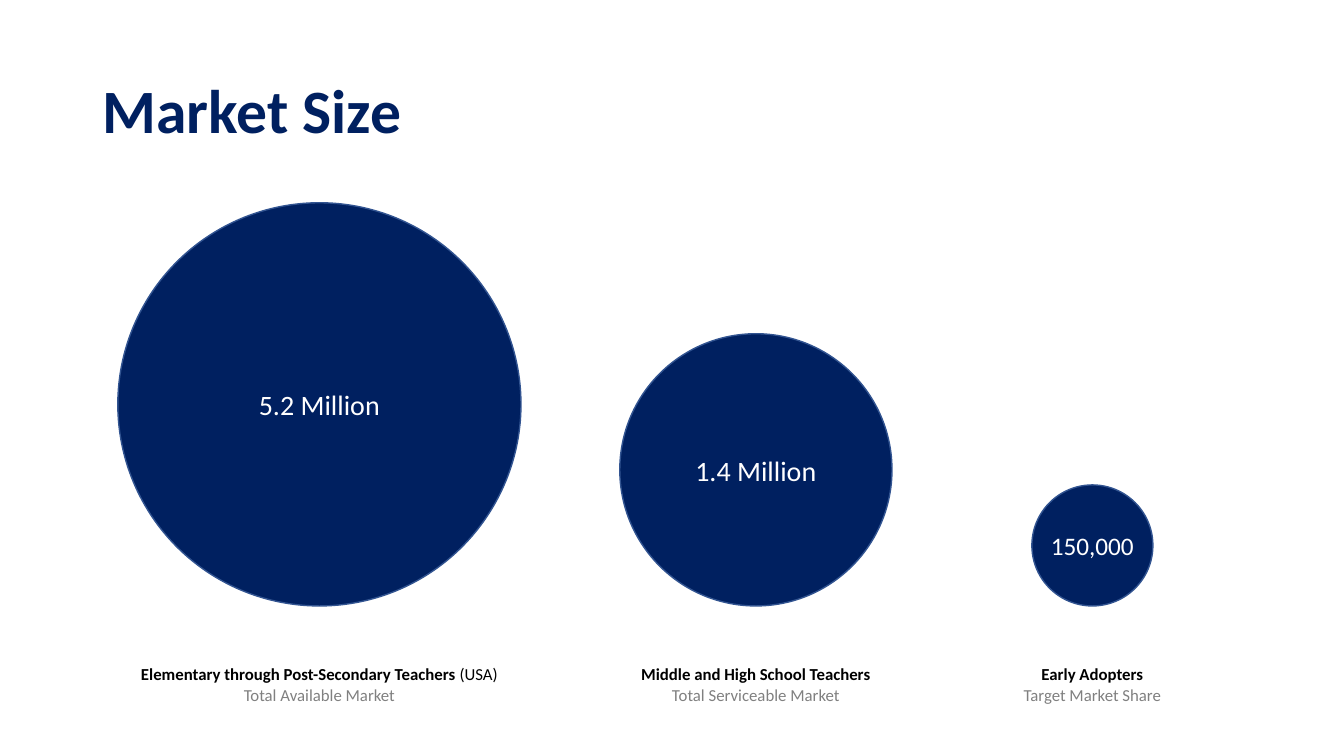
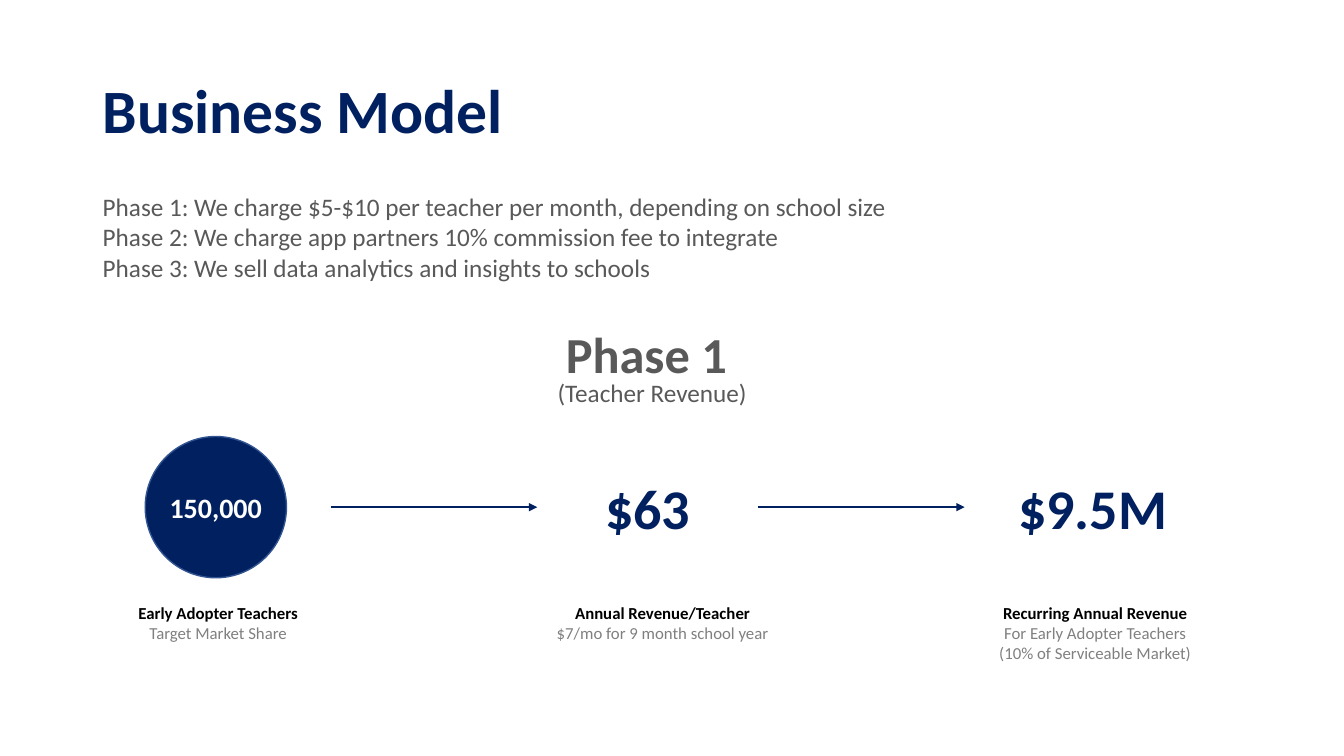
from lxml.etree import SubElement
from pptx import Presentation
from pptx.dml.color import RGBColor
from pptx.enum.shapes import MSO_CONNECTOR, MSO_SHAPE
from pptx.enum.text import MSO_ANCHOR as Anchor, PP_ALIGN as Align
from pptx.oxml.ns import qn
from pptx.util import Cm, Pt

FONT = "Calibri"
NAVY, EDGE, WHITE, BLACK = "002060", "325491", "FFFFFF", "000000"
GREY, DARK_GREY = "808080", "595959"

# Text formats: size, colour, bold
TITLE = (44, NAVY, True)
FIGURE = (40, NAVY, True)
BODY = (18, DARK_GREY, False)
HEADING = (36, DARK_GREY, True)
LABEL = (12, BLACK, True)
LABEL_PLAIN = (12, BLACK, False)
SUBLABEL = (12, GREY, False)

# Centre, diameter, value, value size, caption width, label runs, sublabel
MARKETS = [
    (8.05, 10.16, "5.2 Million", 20, 9.65,
     [("Elementary through Post-Secondary Teachers ", LABEL), ("(USA)", LABEL_PLAIN)],
     "Total Available Market"),
    (19.05, 6.86, "1.4 Million", 20, 6.45,
     [("Middle and High School Teachers", LABEL)], "Total Serviceable Market"),
    (27.53, 3.05, "150,000", 18, 5.31,
     [("Early Adopters", LABEL)], "Target Market Share"),
]
MARKET_BASELINE, MARKET_CAPTION_TOP = 15.27, 16.61

PHASES = [
    "Phase 1: We charge $5-$10 per teacher per month, depending on school size",
    "Phase 2: We charge app partners 10% commission fee to integrate",
    "Phase 3: We sell data analytics and insights to schools",
]
PHASE_HEADING = [[("Phase 1 ", HEADING)], [("(Teacher Revenue)", BODY)]]

ADOPTERS = {"center": 5.44, "diameter": 3.56, "value": "150,000"}
# Centre, width, value
FIGURES = [(16.32, 3.33, "$63"), (27.54, 4.34, "$9.5M")]
# Centre, width, label, sublabel
REVENUE_CAPTIONS = [
    (5.5, 5.31, "Early Adopter Teachers", "Target Market Share"),
    (16.7, 5.87, "Annual Revenue/Teacher", "$7/mo for 9 month school year"),
    (27.6, 5.64, "Recurring Annual Revenue",
     "For Early Adopter Teachers (10% of Serviceable Market)"),
]
REVENUE_MIDDLE, REVENUE_CAPTION_TOP = 12.78, 15.06
ARROW_STARTS, ARROW_LENGTH = (8.33, 19.1), 5.21


def color(hex_string):
    return RGBColor.from_string(hex_string)


def write(frame, paragraphs, align=Align.CENTER, anchor=Anchor.TOP, line_spacing=1.0):
    """Fill a text frame; each paragraph is a list of (text, format) runs."""
    frame.word_wrap = True
    frame.vertical_anchor = anchor
    for index, runs in enumerate(paragraphs):
        paragraph = frame.add_paragraph() if index else frame.paragraphs[0]
        paragraph.alignment = align
        paragraph.line_spacing = line_spacing
        for text, (size, hex_string, bold) in runs:
            run = paragraph.add_run()
            run.text = text
            for name, value in {"name": FONT, "size": Pt(size), "bold": bold}.items():
                setattr(run.font, name, value)
            run.font.color.rgb = color(hex_string)


def add_text(slide, box, paragraphs, **layout):
    shape = slide.shapes.add_textbox(*map(Cm, box))
    write(shape.text_frame, paragraphs, **layout)


def add_caption(slide, center, top, width, label_runs, sublabel):
    add_text(slide, (center - width / 2, top, width, 1.28),
             [label_runs, [(sublabel, SUBLABEL)]])


def add_circle(slide, center, middle, diameter, value, size, bold=False):
    box = (center - diameter / 2, middle - diameter / 2, diameter, diameter)
    circle = slide.shapes.add_shape(MSO_SHAPE.OVAL, *map(Cm, box))
    circle.shadow.inherit = False
    circle.fill.solid()
    circle.fill.fore_color.rgb = color(NAVY)
    circle.line.color.rgb = color(EDGE)
    circle.line.width = Pt(1)
    for side in ("left", "top", "right", "bottom"):
        setattr(circle.text_frame, f"margin_{side}", 0)
    write(circle.text_frame, [[(value, (size, WHITE, bold))]], anchor=Anchor.MIDDLE)


def add_arrow(slide, start, middle):
    arrow = slide.shapes.add_connector(
        MSO_CONNECTOR.STRAIGHT, *map(Cm, (start, middle, start + ARROW_LENGTH, middle)))
    arrow.line.color.rgb = color(NAVY)
    arrow.line.width = Pt(1.5)
    SubElement(arrow.line._get_or_add_ln(), qn("a:tailEnd"), type="triangle")
    SubElement(arrow._element.spPr, qn("a:effectLst"))


def add_slide(presentation, title):
    slide = presentation.slides.add_slide(presentation.slide_layouts[6])
    add_text(slide, (2.34, 1.02, 29.21, 3.68), [[(title, TITLE)]],
             align=Align.LEFT, anchor=Anchor.MIDDLE, line_spacing=0.9)
    return slide


def build_market_size(presentation):
    slide = add_slide(presentation, "Market Size")
    for center, diameter, value, size, width, label_runs, sublabel in MARKETS:
        add_circle(slide, center, MARKET_BASELINE - diameter / 2, diameter, value, size)
        add_caption(slide, center, MARKET_CAPTION_TOP, width, label_runs, sublabel)


def build_business_model(presentation):
    slide = add_slide(presentation, "Business Model")
    add_text(slide, (2.34, 4.7, 20.96, 2.57), [[(phase, BODY)] for phase in PHASES],
             align=Align.LEFT)
    add_text(slide, (13.77, 8.31, 5.33, 2.11), PHASE_HEADING, line_spacing=0.8)
    add_circle(slide, middle=REVENUE_MIDDLE, size=20, bold=True, **ADOPTERS)
    for center, width, value in FIGURES:
        add_text(slide, (center - width / 2, REVENUE_MIDDLE - 0.98, width, 1.96),
                 [[(value, FIGURE)]], anchor=Anchor.MIDDLE)
    for center, width, label, sublabel in REVENUE_CAPTIONS:
        add_caption(slide, center, REVENUE_CAPTION_TOP, width, [(label, LABEL)], sublabel)
    for start in ARROW_STARTS:
        add_arrow(slide, start, REVENUE_MIDDLE)


def main():
    presentation = Presentation()
    presentation.slide_width, presentation.slide_height = Cm(33.87), Cm(19.05)
    build_market_size(presentation)
    build_business_model(presentation)
    presentation.save("out.pptx")


if __name__ == "__main__":
    main()
